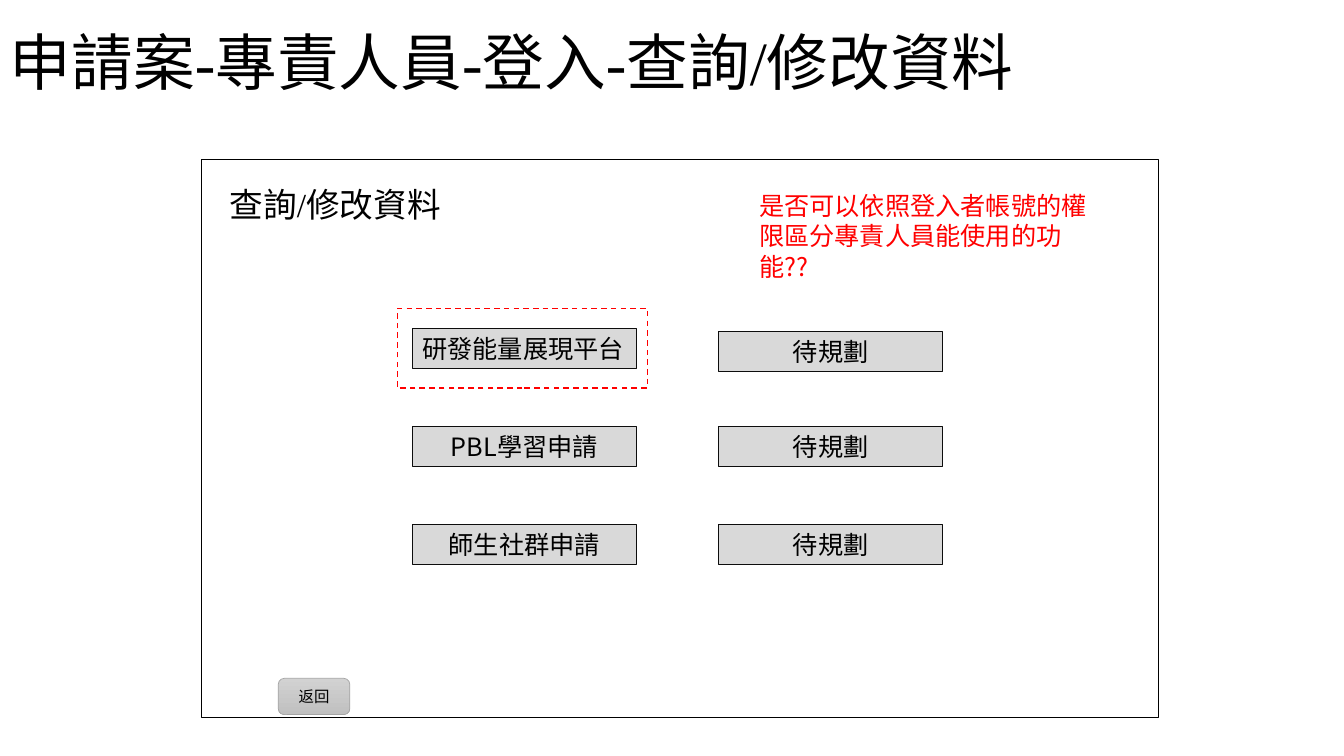
from pptx import Presentation
from pptx.dml.color import RGBColor
from pptx.enum import dml, shapes, text
from pptx.util import Inches, Pt

SANS = "Noto Sans CJK SC"
SERIF = "Times New Roman"


def color(code):
    return RGBColor.from_string(code)


def write(shape, words, size, face, tint="000000", align="LEFT", anchor="TOP",
          wrap=True, grow=True, lead=None):
    frame = shape.text_frame
    fit = text.MSO_AUTO_SIZE.SHAPE_TO_FIT_TEXT if grow else text.MSO_AUTO_SIZE.NONE
    props = {"word_wrap": wrap, "auto_size": fit,
             "vertical_anchor": text.MSO_ANCHOR[anchor]}
    for key, value in props.items():
        setattr(frame, key, value)
    para = frame.paragraphs[0]
    para.alignment = text.PP_ALIGN[align]
    if lead:
        para.line_spacing = lead
    run = para.add_run()
    run.text = words
    for key, value in {"size": Pt(size), "name": face}.items():
        setattr(run.font, key, value)
    run.font.color.rgb = color(tint)


def label(slide, box, words, size, face, **style):
    shape = slide.shapes.add_textbox(*map(Inches, box))
    write(shape, words, size, face, **style)


def block(slide, box, edge, width, fill=None, kind="RECTANGLE", dash=False):
    shape = slide.shapes.add_shape(shapes.MSO_SHAPE[kind], *map(Inches, box))
    shape.shadow.inherit = False
    if fill:
        shape.fill.solid()
        shape.fill.fore_color.rgb = color(fill)
    else:
        shape.fill.background()
    shape.line.color.rgb = color(edge)
    shape.line.width = Pt(width)
    if dash:
        shape.line.dash_style = dml.MSO_LINE.DASH
    return shape


def option(slide, left, top, words, **style):
    shape = block(slide, (left, top, 2.22, 0.4), "0D0D0D", 0.75, "D9D9D9")
    write(shape, words, 18, SANS, **style)


def button(slide, box, words):
    shape = block(slide, box, "A5A5A5", 0.5, kind="ROUNDED_RECTANGLE")
    shape.fill.gradient()
    shape.fill.gradient_angle = 270
    for stop, place, tint in zip(shape.fill.gradient_stops, (0, 1), ("D2D2D2", "C0C0C0")):
        stop.position = place
        stop.color.rgb = color(tint)
    write(shape, words, 11, "Calibri", align="CENTER", anchor="MIDDLE", grow=False)


def main():
    deck = Presentation()
    deck.slide_width, deck.slide_height = Inches(13.33), Inches(7.5)
    slide = deck.slides.add_slide(deck.slide_layouts[6])

    label(slide, (0, 0.27, 13.33, 0.77), "申請案-專責人員-登入-查詢/修改資料",
          44, SERIF, anchor="MIDDLE", lead=0.9)
    block(slide, (2, 1.58, 9.49, 5.54), "000000", 1)
    button(slide, (2.76, 6.73, 0.71, 0.36), "返回")

    option(slide, 4.09, 3.26, "研發能量展現平台", wrap=False)
    for row, words in enumerate(("PBL學習申請", "師生社群申請")):
        option(slide, 4.09, 4.23 + 0.97 * row, words, align="CENTER")
    for top in (3.29, 4.23, 5.2):
        option(slide, 7.13, top, "待規劃", align="CENTER")

    label(slide, (2.18, 1.78, 4.85, 0.5), "查詢/修改資料", 24, SERIF)
    label(slide, (7.43, 1.84, 3.67, 0.71),
          "是否可以依照登入者帳號的權限區分專責人員能使用的功能??",
          18, SANS, tint="FF0000")
    block(slide, (3.94, 3.06, 2.48, 0.79), "FF0000", 1, dash=True)
    deck.save("out.pptx")


if __name__ == "__main__":
    main()
